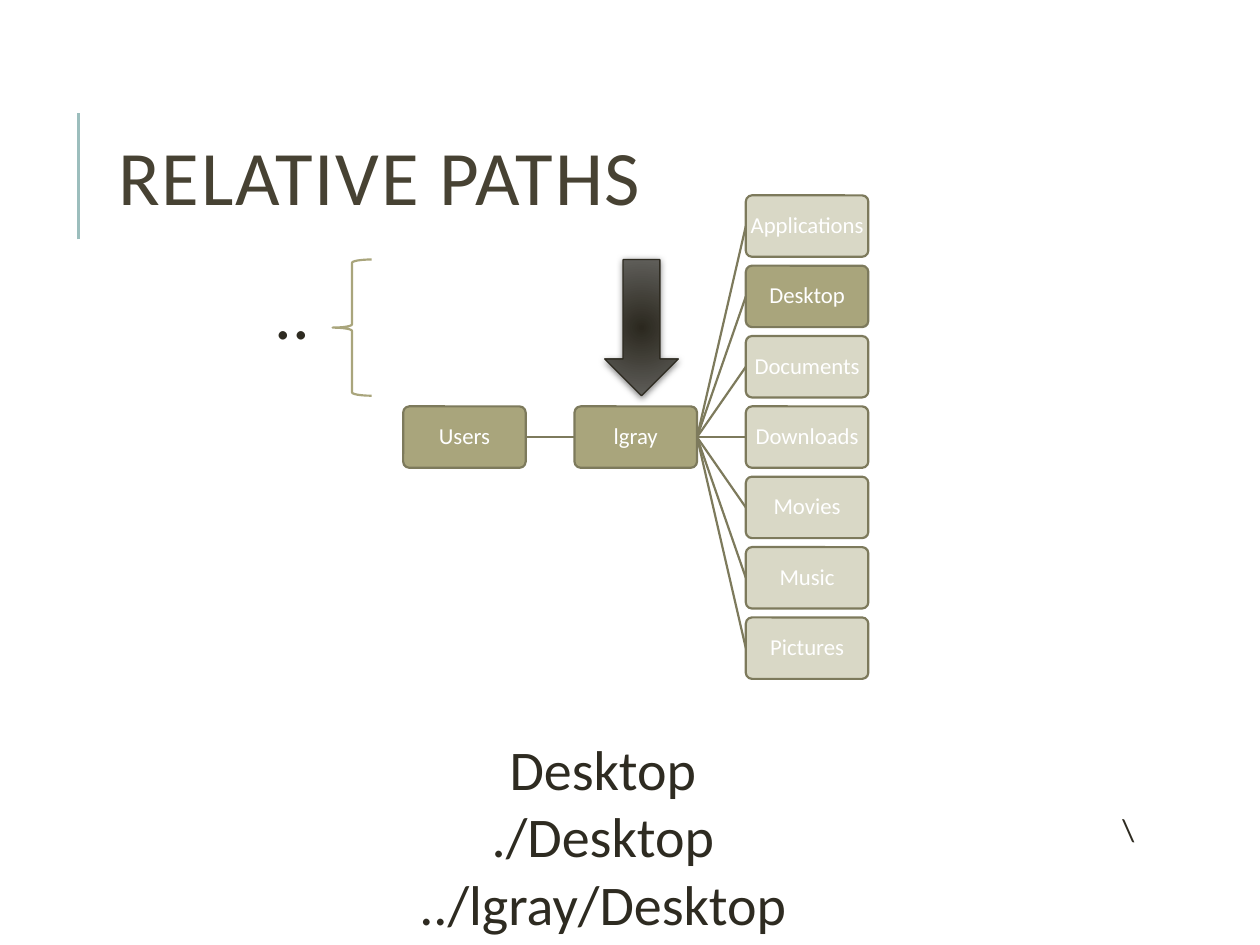
from dataclasses import dataclass

from lxml.etree import SubElement
from pptx import Presentation
from pptx.dml.color import RGBColor
from pptx.enum.shapes import MSO_CONNECTOR, MSO_SHAPE
from pptx.enum.text import MSO_ANCHOR, MSO_AUTO_SIZE, PP_ALIGN
from pptx.oxml import parse_xml
from pptx.oxml.ns import nsdecls, qn
from pptx.util import Pt

FONT = "Calibri"
INK, OLIVE, EDGE = "2E2B21", "A9A57C", "7D7A5C"
WIDE, HIGH = 70, 35.1
LEFT, STEP = 230.4, 97.9
TOP, PITCH = 129.2, 40.2
FOLDERS = ["Applications", "Desktop", "Documents", "Downloads",
           "Movies", "Music", "Pictures"]
MID = len(FOLDERS) // 2


@dataclass
class Node:
    """A folder, placed by its column and row in the tree."""
    name: str
    col: int
    row: int
    faded: bool = False

    @property
    def x(self) -> float:
        return LEFT + self.col * STEP

    @property
    def y(self) -> float:
        """Middle height of the box."""
        return TOP + self.row * PITCH


@dataclass
class Label:
    lines: list[str]
    box: tuple[float, float, float, float]
    size: float
    align: PP_ALIGN = PP_ALIGN.CENTER


def paint(color, value: str) -> None:
    color.rgb = RGBColor.from_string(value)


def style(para, size: float, value: str, align: PP_ALIGN) -> None:
    para.alignment = align
    para.font.name = FONT
    para.font.size = Pt(size)
    paint(para.font.color, value)


def stroke(item, value: str, width: float) -> None:
    paint(item.line.color, value)
    item.line.width = Pt(width)


def add_line(slide, start: tuple, end: tuple, value: str, width: float) -> None:
    line = slide.shapes.add_connector(
        MSO_CONNECTOR.STRAIGHT, *map(Pt, start + end))
    stroke(line, value, width)
    SubElement(line._element.spPr, qn("a:effectLst"))


def add_shape(slide, kind: MSO_SHAPE, box: tuple, value: str, width: float):
    shape = slide.shapes.add_shape(kind, *map(Pt, box))
    shape.shadow.inherit = False
    stroke(shape, value, width)
    return shape


def add_node(slide, node: Node) -> None:
    box = (node.x, node.y - HIGH / 2, WIDE, HIGH)
    shape = add_shape(slide, MSO_SHAPE.ROUNDED_RECTANGLE, box, EDGE, 1.25)
    shape.adjustments[0] = 0.1
    shape.fill.solid()
    paint(shape.fill.fore_color, OLIVE)
    if node.faded:
        tint = shape._element.spPr.find(qn("a:solidFill"))[0]
        SubElement(tint, qn("a:alpha"), val="43000")
    frame = shape.text_frame
    frame.word_wrap = True
    frame.vertical_anchor = MSO_ANCHOR.MIDDLE
    frame.margin_left = frame.margin_right = Pt(1.5)
    frame.margin_top = frame.margin_bottom = Pt(1.5)
    para = frame.paragraphs[0]
    para.text = node.name
    para.line_spacing = 0.9
    style(para, 13, "FFFFFF", PP_ALIGN.CENTER)


def link(slide, start: Node, end: Node) -> None:
    add_line(slide, (start.x + WIDE, start.y), (end.x, end.y), EDGE, 1.25)


def add_label(slide, label: Label) -> None:
    frame = slide.shapes.add_textbox(*map(Pt, label.box)).text_frame
    frame.word_wrap = True
    frame.text = "\n".join(label.lines)
    for para in frame.paragraphs:
        style(para, label.size, INK, label.align)


def add_title(slide, text: str) -> None:
    title = slide.shapes.title
    title.left, title.top, title.width, title.height = map(
        Pt, (60.5, 46, 574, 118))
    frame = title.text_frame
    frame.text = text
    frame.auto_size = MSO_AUTO_SIZE.NONE
    frame.vertical_anchor = MSO_ANCHOR.MIDDLE
    para = frame.paragraphs[0]
    para.line_spacing = 0.8
    style(para, 44, "474233", PP_ALIGN.LEFT)
    para.runs[0].font._element.set("spc", "100")


def add_arrow(slide) -> None:
    """Down arrow with a radial gradient and a soft shadow."""
    box = (345.6, 148.3, 42, 77.8)
    arrow = add_shape(slide, MSO_SHAPE.DOWN_ARROW, box, INK, 0.75)
    props = arrow._element.spPr
    props.find(qn("a:prstGeom")).addnext(parse_xml(
        f'<a:gradFill {nsdecls("a")} rotWithShape="1"><a:gsLst>'
        '<a:gs pos="0"><a:srgbClr val="2B281F"/></a:gs>'
        '<a:gs pos="100000"><a:srgbClr val="656460"/></a:gs></a:gsLst>'
        '<a:path path="circle"><a:fillToRect l="100000" t="100000" '
        'r="100000" b="100000"/></a:path></a:gradFill>'))
    props.find(qn("a:effectLst")).append(parse_xml(
        f'<a:outerShdw {nsdecls("a")} blurRad="{Pt(4)}" dist="{Pt(1)}" '
        'dir="5400000" rotWithShape="0"><a:srgbClr val="000000">'
        '<a:alpha val="50000"/></a:srgbClr></a:outerShdw>'))


def main() -> None:
    deck = Presentation()
    deck.slide_width, deck.slide_height = Pt(720), Pt(540)
    slide = deck.slides.add_slide(deck.slide_layouts[5])
    add_line(slide, (45, 136.8), (45, 64.8), "9CBEBD", 1.5)
    add_title(slide, "RELATIVE PATHS")

    root, home = Node("Users", 0, MID), Node("lgray", 1, MID)
    leaves = [Node(name, 2, row, name != "Desktop")
              for row, name in enumerate(FOLDERS)]
    link(slide, root, home)
    for leaf in leaves:
        link(slide, home, leaf)
    for node in [root, home, *leaves]:
        add_node(slide, node)

    add_arrow(slide)
    brace = add_shape(slide, MSO_SHAPE.LEFT_BRACE,
                      (190, 148.3, 22.3, 77.8), OLIVE, 1.25)
    brace.fill.background()
    for label in (
        Label(["Desktop", "./Desktop", "../lgray/Desktop"],
              (56.9, 416.2, 575.3, 123.8), 32),
        Label([".."], (146.2, 150.5, 41.8, 55.4), 40),
        Label(["\\"], (634.3, 459.4, 22.3, 28.8), 18, PP_ALIGN.LEFT),
    ):
        add_label(slide, label)
    deck.save("out.pptx")


if __name__ == "__main__":
    main()
